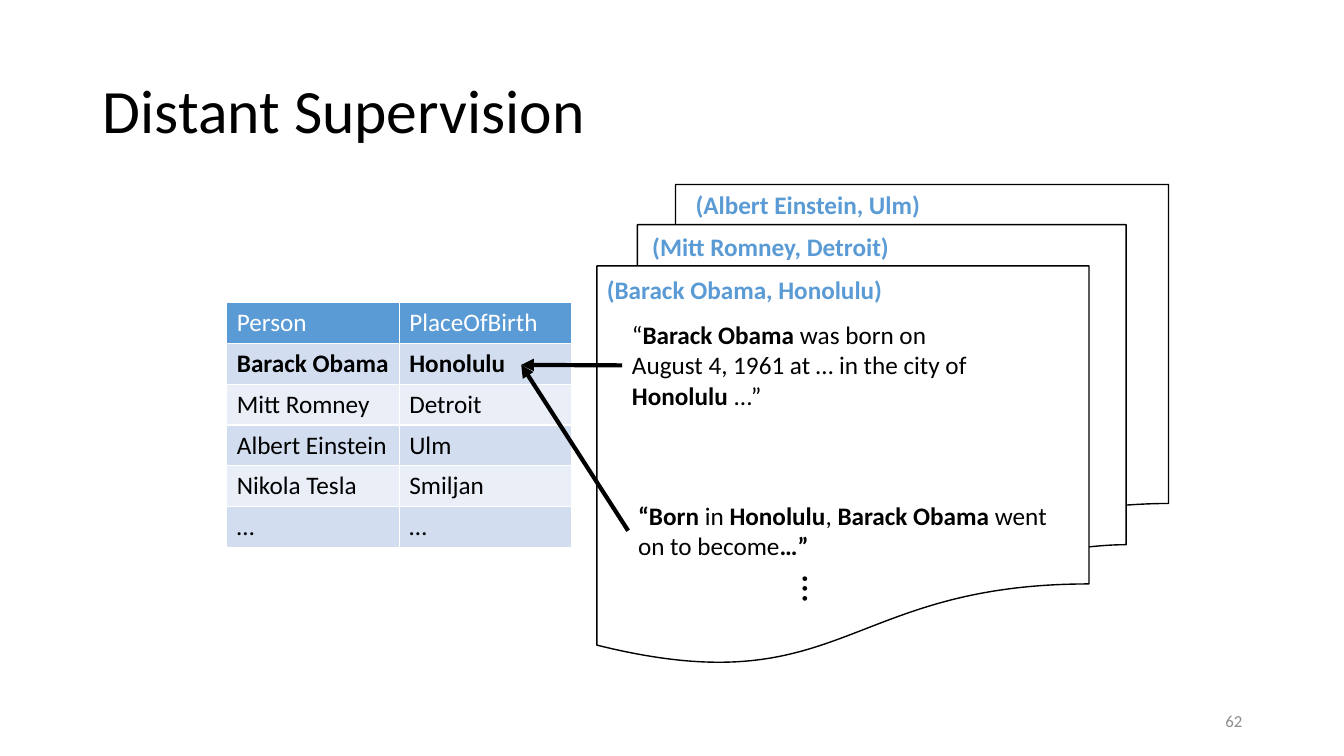
"""Build the Distant Supervision slide with a fact table and matching text evidence."""
from dataclasses import dataclass
from typing import NamedTuple

from lxml.etree import SubElement
from pptx import Presentation
from pptx.dml.color import RGBColor
from pptx.enum.shapes import MSO_CONNECTOR, MSO_SHAPE
from pptx.enum.text import MSO_ANCHOR, MSO_AUTO_SIZE, PP_ALIGN
from pptx.oxml.ns import qn
from pptx.shapes.autoshape import Shape
from pptx.slide import Slide
from pptx.util import Inches, Pt


@dataclass(frozen=True)
class Theme:
    font: str = "Calibri"
    title_size: int = 44
    dots_size: int = 28
    body_size: int = 18
    number_size: int = 12
    black: str = "000000"
    white: str = "FFFFFF"
    accent: str = "5B9BD5"
    gray: str = "8C8C8C"
    bands: tuple[str, str] = ("D2DEEF", "EAEFF7")


THEME = Theme()


class Run(NamedTuple):
    text: str
    bold: bool = False


class Box(NamedTuple):
    left: float
    top: float
    width: float
    height: float


@dataclass(frozen=True)
class Label:
    box: Box
    runs: tuple[Run, ...]
    size: int = THEME.body_size
    color: str = THEME.black
    wrap: bool = False
    rotation: int = 0
    align: PP_ALIGN = PP_ALIGN.LEFT
    anchor: MSO_ANCHOR = MSO_ANCHOR.TOP
    auto_size: MSO_AUTO_SIZE = MSO_AUTO_SIZE.SHAPE_TO_FIT_TEXT


TITLE = Label(Box(0.92, 0.4, 11.5, 1.45), (Run("Distant Supervision"),),
              size=THEME.title_size, wrap=True, anchor=MSO_ANCHOR.MIDDLE,
              auto_size=MSO_AUTO_SIZE.NONE)
DOCUMENTS = Box(5.92, 1.83, 5.67, 4.75)
FACTS_BOX = Box(2.25, 3, 3.42, 2.4)
FACTS = (
    ("Person", "PlaceOfBirth"),
    ("Barack Obama", "Honolulu"),
    ("Mitt Romney", "Detroit"),
    ("Albert Einstein", "Ulm"),
    ("Nikola Tesla", "Smiljan"),
    ("…", "…"),
)
MATCHED_ROW = 1
ARROW_TARGET = (5.17, 3.62)
EVIDENCE = (
    Label(Box(6.17, 3.12, 3.83, 1.01), (
        Run("“"), Run("Barack Obama", True),
        Run(" was born on August 4, 1961 at … in the city of "),
        Run("Honolulu", True), Run(" ...”")), wrap=True),
    Label(Box(6.23, 4.91, 4.27, 0.71), (
        Run("“Born", True), Run(" in "), Run("Honolulu", True), Run(", "),
        Run("Barack Obama", True), Run(" went on to become"),
        Run("…”", True)), wrap=True),
)
PAIRS = (
    (Box(5.92, 2.67, 2.96, 0.4), "(Barack Obama, Honolulu)"),
    (Box(6.37, 2.25, 2.58, 0.4), "(Mitt Romney, Detroit)"),
    (Box(6.8, 1.83, 2.45, 0.4), "(Albert Einstein, Ulm)"),
)
LABELS = (
    Label(Box(7.88, 5.56, 0.47, 0.57), (Run("…"),), size=THEME.dots_size, rotation=90),
    *(Label(box, (Run(text, True),), color=THEME.accent) for box, text in PAIRS),
    Label(Box(9.42, 6.95, 3, 0.4), (Run("62"),), size=THEME.number_size,
          color=THEME.gray, wrap=True, align=PP_ALIGN.RIGHT,
          anchor=MSO_ANCHOR.MIDDLE, auto_size=MSO_AUTO_SIZE.NONE),
)


def to_inches(box: Box) -> list[Inches]:
    return [Inches(value) for value in box]


def add_run(paragraph, run: Run, size: int, color: str) -> None:
    text_run = paragraph.add_run()
    text_run.text = run.text
    formats = {"name": THEME.font, "size": Pt(size), "bold": run.bold}
    for name, value in formats.items():
        setattr(text_run.font, name, value)
    text_run.font.color.rgb = RGBColor.from_string(color)


def fill_text(shape: Shape, label: Label) -> None:
    frame = shape.text_frame
    formats = {"word_wrap": label.wrap, "auto_size": label.auto_size,
               "vertical_anchor": label.anchor}
    for name, value in formats.items():
        setattr(frame, name, value)
    paragraph = frame.paragraphs[0]
    paragraph.alignment = label.align
    for run in label.runs:
        add_run(paragraph, run, label.size, label.color)


def add_label(slide: Slide, label: Label) -> Shape:
    shape = slide.shapes.add_textbox(*to_inches(label.box))
    shape.rotation = label.rotation
    fill_text(shape, label)
    return shape


def add_title(slide: Slide) -> None:
    title = slide.shapes.title
    for name, value in zip(Box._fields, to_inches(TITLE.box)):
        setattr(title, name, value)
    fill_text(title, TITLE)
    title.text_frame.paragraphs[0].line_spacing = 0.9


def add_documents(slide: Slide) -> None:
    shape = slide.shapes.add_shape(MSO_SHAPE.FLOWCHART_MULTIDOCUMENT, *to_inches(DOCUMENTS))
    shape.shadow.inherit = False
    shape.fill.solid()
    shape.fill.fore_color.rgb = RGBColor.from_string(THEME.white)
    shape.line.color.rgb = RGBColor.from_string(THEME.black)
    shape.line.width = Pt(1)


def add_facts(slide: Slide) -> None:
    frame = slide.shapes.add_table(len(FACTS), len(FACTS[0]), *to_inches(FACTS_BOX))
    for row_index, row in enumerate(FACTS):
        header = row_index == 0
        fill = THEME.accent if header else THEME.bands[(row_index - 1) % 2]
        color = THEME.white if header else THEME.black
        for column_index, text in enumerate(row):
            cell = frame.table.cell(row_index, column_index)
            cell.fill.solid()
            cell.fill.fore_color.rgb = RGBColor.from_string(fill)
            add_run(cell.text_frame.paragraphs[0], Run(text, row_index == MATCHED_ROW),
                    THEME.body_size, color)


def add_arrow(slide: Slide, source: Shape) -> None:
    target_x, target_y = (Inches(value) for value in ARROW_TARGET)
    connector = slide.shapes.add_connector(
        MSO_CONNECTOR.STRAIGHT, source.left, source.top + source.height // 2,
        target_x, target_y)
    connector.begin_connect(source, 1)
    connector.line.color.rgb = RGBColor.from_string(THEME.black)
    connector.line.width = Pt(3)
    properties = connector._element.spPr
    SubElement(properties.find(qn("a:ln")), qn("a:tailEnd"), type="triangle")
    SubElement(properties, qn("a:effectLst"))


def main() -> None:
    presentation = Presentation()
    presentation.slide_width = Inches(13.33)
    presentation.slide_height = Inches(7.5)
    slide = presentation.slides.add_slide(presentation.slide_layouts[5])
    add_title(slide)
    add_documents(slide)
    add_facts(slide)
    for label in EVIDENCE:
        add_arrow(slide, add_label(slide, label))
    for label in LABELS:
        add_label(slide, label)
    presentation.save("out.pptx")


if __name__ == "__main__":
    main()
